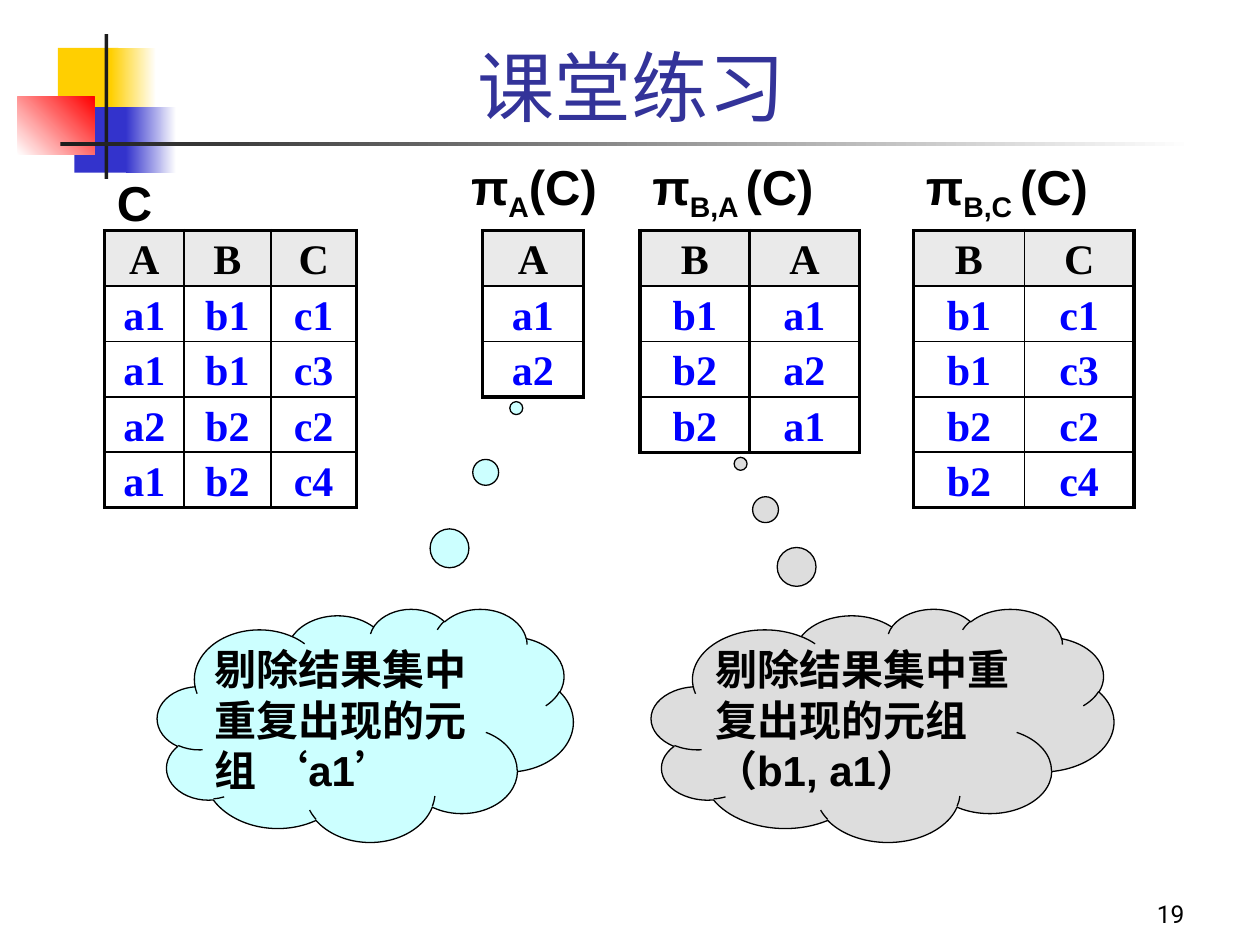
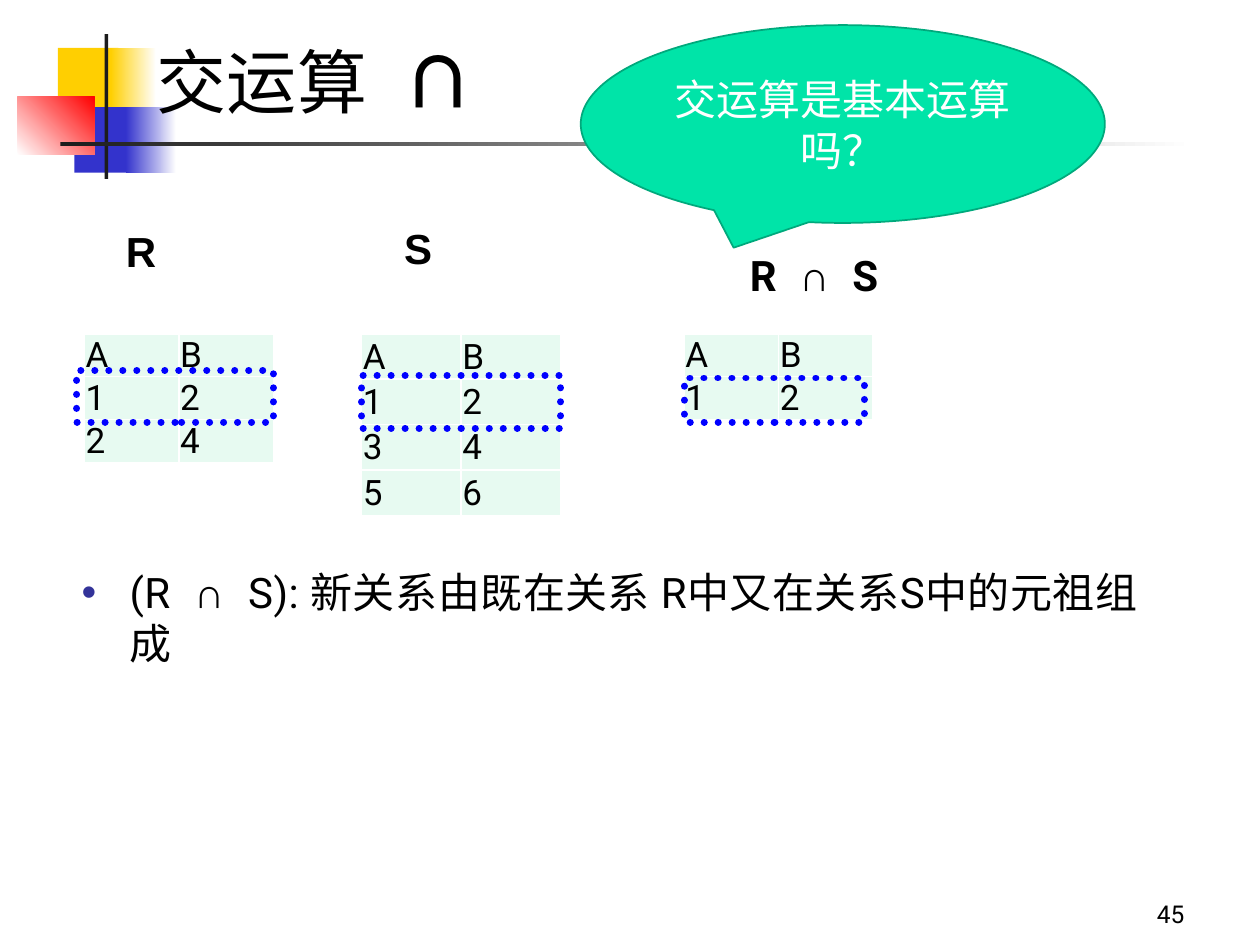
from typing import NamedTuple

import pptx
import pptx.dml.color
import pptx.enum.dml
import pptx.enum.shapes
import pptx.enum.text
import pptx.oxml
import pptx.oxml.ns
import pptx.util
from pptx.util import Inches

COLOURS = {
    "white": "FFFFFF", "black": "000000", "ink": "1C1C1C",
    "yellow": "FFCF01", "blue": "3333CC", "red": "FF0000",
    "title": "333399", "value": "0000FF", "header": "EAEAEA",
    "mint": "E7FAF1", "cyan": "CCFFFF", "grey": "DDDDDD",
    "green": "00E4A8", "dark_green": "00A97C",
}
CHINESE = "Noto Sans CJK SC"
SHAPES = pptx.enum.shapes.MSO_SHAPE
ANCHOR = pptx.enum.text.MSO_ANCHOR
ALIGN = pptx.enum.text.PP_ALIGN


class Frame(NamedTuple):
    left: float
    top: float
    width: float
    height: float

    def lengths(self) -> list:
        return [Inches(value) for value in self]


class Style(NamedTuple):
    size: float
    font: str
    colour: str = "black"
    bold: bool = False


class Span(NamedTuple):
    text: str
    style: Style
    spacing: float = 0
    baseline: int = 0


class Band(NamedTuple):
    frame: Frame
    start: str
    end: str = ""
    angle: float = 0


class Relation(NamedTuple):
    left: float
    top: float
    columns: list
    row_height: float
    rows: list


class Callout(NamedTuple):
    kind: int
    frame: Frame
    fill: str
    line: str
    line_width: float
    text: str
    style: Style
    tip: tuple = ()


BANDS = [
    Band(Frame(0.46, 0.38, 0.48, 0.52), "yellow"),
    Band(Frame(0.88, 0.38, 0.36, 0.52), "yellow", "white"),
    Band(Frame(0.59, 0.85, 0.46, 0.52), "blue"),
    Band(Frame(1, 0.85, 0.4, 0.52), "blue", "white"),
    Band(Frame(0.14, 0.77, 0.61, 0.46), "white", "red", 45),
    Band(Frame(0.83, 0.27, 0.03, 1.15), "ink"),
    Band(Frame(0.48, 1.13, 9, 0.03), "ink", "white"),
]
LABEL = Style(28, "Arial", bold=True)
NOTE = Style(24, "Arial", bold=True)
HEADER = Style(24, "Times New Roman", bold=True)
VALUE = HEADER._replace(colour="value")
CELL = Style(20, "Roboto")
BODY = Style(24, "Roboto")
BODY_SIGN = Style(24, "Courier New", bold=True)


def rgb(name: str) -> pptx.dml.color.RGBColor:
    return pptx.dml.color.RGBColor.from_string(COLOURS[name])


def element(tag: str, **attributes: str):
    node = pptx.oxml.parse_xml(f"<a:{tag} {pptx.oxml.ns.nsdecls('a')}/>")
    for key, value in attributes.items():
        node.set(key, value)
    return node


def write(paragraph, spans: list, align=ALIGN.LEFT) -> None:
    """Fill a paragraph with formatted runs."""
    paragraph.alignment = align
    for item in spans:
        span = paragraph.add_run()
        span.text = item.text
        span.font.size = pptx.util.Pt(item.style.size)
        span.font.bold = item.style.bold
        span.font.color.rgb = rgb(item.style.colour)
        span.font.name = item.style.font
        properties = span._r.get_or_add_rPr()
        properties.find(pptx.oxml.ns.qn("a:latin")).addnext(element("ea", typeface=CHINESE))
        if item.spacing:
            properties.set("spc", str(round(item.spacing * 100)))
        if item.baseline:
            properties.set("baseline", str(item.baseline * 1000))


def set_frame(text_frame, anchor=ANCHOR.TOP, inset=(0.1, 0.05)) -> None:
    text_frame.word_wrap = True
    text_frame.auto_size = pptx.enum.text.MSO_AUTO_SIZE.NONE
    text_frame.vertical_anchor = anchor
    text_frame.margin_left = text_frame.margin_right = Inches(inset[0])
    text_frame.margin_top = text_frame.margin_bottom = Inches(inset[1])


def add_text(page, frame: Frame, spans: list, align=ALIGN.LEFT,
             anchor=ANCHOR.TOP, inset=(0.1, 0.05)):
    box = page.shapes.add_textbox(*frame.lengths())
    set_frame(box.text_frame, anchor, inset)
    para = box.text_frame.paragraphs[0]
    write(para, spans, align)
    return para


def add_band(page, band: Band) -> None:
    shape = page.shapes.add_shape(SHAPES.RECTANGLE, *band.frame.lengths())
    shape.shadow.inherit = False
    shape.line.fill.background()
    if band.end:
        shape.fill.gradient()
        shape.fill.gradient_angle = band.angle
        for stop, name in zip(shape.fill.gradient_stops, (band.start, band.end)):
            stop.color.rgb = rgb(name)
    else:
        shape.fill.solid()
        shape.fill.fore_color.rgb = rgb(band.start)


def add_page(deck, frame: Frame, spans: list, align, anchor, number: str):
    """Add a page with the corner bands, the title and the page number."""
    page = deck.slides.add_slide(deck.slide_layouts[5])
    for band in BANDS:
        add_band(page, band)
    title = page.shapes.title
    title.left, title.top, title.width, title.height = frame.lengths()
    set_frame(title.text_frame, anchor)
    write(title.text_frame.paragraphs[0], spans, align)
    title.element.getparent().append(title.element)
    add_text(page, Frame(7.42, 6.92, 2.08, 0.5), [Span(number, Style(14, "Roboto"))],
             ALIGN.RIGHT, ANCHOR.BOTTOM)
    return page


def set_borders(cell, colour: str, widths: dict) -> None:
    properties = cell._tc.get_or_add_tcPr()
    for place, side in enumerate("LRTB"):
        line = element(f"ln{side}", w=str(pptx.util.Pt(widths[side])))
        fill = element("solidFill")
        fill.append(element("srgbClr", val=COLOURS[colour]))
        line.append(fill)
        properties.insert(place, line)


def add_relation(page, relation: Relation):
    """Add a table with sized columns and equal rows, ready for its cells."""
    count = len(relation.rows)
    frame = Frame(relation.left, relation.top, sum(relation.columns),
                  count * relation.row_height)
    table = page.shapes.add_table(count, len(relation.columns), *frame.lengths()).table
    table.first_row = table.horz_banding = False
    for column, width in zip(table.columns, relation.columns):
        column.width = Inches(width)
    for row in table.rows:
        row.height = Inches(relation.row_height)
    return table


def fill_cell(cell, text: str, style: Style, fill: str, inset: tuple, align) -> None:
    cell.margin_left = cell.margin_right = Inches(inset[0])
    cell.margin_top, cell.margin_bottom = Inches(inset[1]), 0
    cell.vertical_anchor = ANCHOR.MIDDLE
    write(cell.text_frame.paragraphs[0], [Span(text, style)], align)
    if fill:
        cell.fill.solid()
        cell.fill.fore_color.rgb = rgb(fill)
    else:
        cell.fill.background()


def add_ruled_table(page, relation: Relation, divider: float = 1) -> None:
    """Black grid with a heavy outer edge and a shaded header."""
    table = add_relation(page, relation)
    last_row, last_column = len(relation.rows) - 1, len(relation.columns) - 1
    for r, row in enumerate(relation.rows):
        for c, text in enumerate(row.split()):
            cell = table.cell(r, c)
            fill_cell(cell, text, VALUE if r else HEADER, "" if r else "header",
                      (0.1, 0), ALIGN.CENTER)
            cell.text_frame.paragraphs[0].line_spacing = 1.1
            set_borders(cell, "black", {
                "L": divider if c else 2.25,
                "R": divider if c < last_column else 2.25,
                "T": 1 if r else 2.25,
                "B": 1 if r < last_row else 2.25,
            })


def add_mint_table(page, relation: Relation) -> None:
    """Pale green cells parted by white lines."""
    table = add_relation(page, relation)
    for r, row in enumerate(relation.rows):
        for c, text in enumerate(row.split()):
            cell = table.cell(r, c)
            fill_cell(cell, text, CELL, "mint", (0.01, 0.01), ALIGN.LEFT)
            set_borders(cell, "white", dict.fromkeys("LRTB", 1))


def add_callout(page, callout: Callout, align, anchor, inset) -> None:
    shape = page.shapes.add_shape(callout.kind, *callout.frame.lengths())
    shape.shadow.inherit = False
    for place, value in enumerate(callout.tip):
        shape.adjustments[place] = value
    shape.fill.solid()
    shape.fill.fore_color.rgb = rgb(callout.fill)
    shape.line.color.rgb = rgb(callout.line)
    shape.line.width = pptx.util.Pt(callout.line_width)
    set_frame(shape.text_frame, anchor, inset)
    write(shape.text_frame.paragraphs[0], [Span(callout.text, callout.style)], align)


def add_dotted_frame(page, frame: Frame) -> None:
    shape = page.shapes.add_shape(SHAPES.RECTANGLE, *frame.lengths())
    shape.shadow.inherit = False
    shape.fill.background()
    shape.line.color.rgb = rgb("value")
    shape.line.width = pptx.util.Pt(4)
    shape.line.dash_style = pptx.enum.dml.MSO_LINE.ROUND_DOT
    shape.line._get_or_add_ln().set("cap", "rnd")


def build_projection(deck) -> None:
    page = add_page(deck, Frame(0.75, 0.25, 8.52, 0.86),
                    [Span("课堂练习", Style(44, CHINESE, "title"))],
                    ALIGN.CENTER, ANCHOR.MIDDLE, "19")
    # Relation C and its projections
    top, height = 1.83, 0.44
    add_ruled_table(page, Relation(0.83, top, [0.63, 0.69, 0.68], height,
                                   ["A B C", "a1 b1 c1", "a1 b1 c3", "a2 b2 c2", "a1 b2 c4"]))
    add_ruled_table(page, Relation(3.83, top, [0.8], height, ["A", "a1", "a2"]))
    add_ruled_table(page, Relation(5.08, top, [0.87, 0.87], height,
                                   ["B A", "b1 a1", "b2 a2", "b2 a1"]), 2.25)
    add_ruled_table(page, Relation(7.25, top, [0.88, 0.87], height,
                                   ["B C", "b1 c1", "b1 c3", "b2 c2", "b2 c4"]))
    # Table labels
    add_text(page, Frame(0.83, 1.37, 2, 0.47), [Span("C", LABEL)], inset=(0.1, 0))
    for left, width, attributes in [(3.64, 1.44, "A"), (5.08, 2, "B,A "), (7.25, 2, "B,C ")]:
        add_text(page, Frame(left, 1.24, width, 0.47),
                 [Span("π", LABEL), Span(attributes, LABEL, baseline=-25), Span("(C)", LABEL)],
                 inset=(0.1, 0))
    # Notes on removed duplicates
    for left, width, fill, tip, text in [
        (1.25, 3.3, "cyan", (0.363, -1.36), "剔除结果集中重复出现的元组 ‘a1’"),
        (5.17, 3.67, "grey", (-0.307, -1.121), "剔除结果集中重复出现的元组（b1, a1）"),
    ]:
        cloud = Callout(SHAPES.CLOUD_CALLOUT, Frame(left, 4.83, width, 1.85),
                        fill, "black", 0.75, text, NOTE, tip)
        add_callout(page, cloud, ALIGN.LEFT, ANCHOR.TOP, (0, 0))


def build_intersection(deck) -> None:
    heading = Style(40, "Roboto")
    page = add_page(deck, Frame(1.14, 0.1, 10, 0.92),
                    [Span("交运算", heading, 0.5), Span(" ", heading, 11),
                     Span("∩", Style(40, "Courier New", bold=True))],
                    ALIGN.LEFT, ANCHOR.BOTTOM, "45")
    # Relations R, S and their intersection
    top = 2.65
    add_mint_table(page, Relation(0.67, top, [0.75] * 2, 0.34, ["A B", "1 2", "2 4"]))
    add_mint_table(page, Relation(2.87, top, [0.79] * 2, 0.36, ["A B", "1 2", "3 4", "5 6"]))
    add_mint_table(page, Relation(5.43, top, [0.75] * 2, 0.34, ["A B", "1 2"]))
    add_text(page, Frame(0.9, 1.74, 1.02, 0.4), [Span("R", NOTE)])
    add_text(page, Frame(3.11, 1.72, 1.02, 0.4), [Span("S", NOTE)])
    strong = BODY._replace(bold=True)
    add_text(page, Frame(5.5, 1.93, 1.92, 0.5),
             [Span("R", strong), Span(" ∩ ", BODY_SIGN), Span("S", strong)], ALIGN.CENTER)
    # Shared tuple
    for frame in [Frame(0.61, 2.94, 1.56, 0.41), Frame(2.87, 2.98, 1.58, 0.42),
                  Frame(5.43, 3, 1.43, 0.35)]:
        add_dotted_frame(page, frame)
    # Definition
    para = add_text(page, Frame(0.55, 4.45, 8.67, 2.94),
                    [Span("(R", BODY, 0.3), Span(" ∩ ", BODY_SIGN, 0.3),
                     Span("S): 新关系由既在关系 R中又在关系S中的元祖组成", BODY, 0.3)])
    para.space_after = pptx.util.Pt(6)
    properties = para._p.get_or_add_pPr()
    properties.set("marL", str(Inches(0.38)))
    properties.set("indent", str(Inches(-0.38)))
    bullet_colour = element("buClr")
    bullet_colour.append(element("srgbClr", val=COLOURS["title"]))
    properties.extend([bullet_colour, element("buFont", typeface="Arial"),
                       element("buChar", char="•")])
    # Question
    question = Callout(SHAPES.OVAL_CALLOUT, Frame(4.61, 0.2, 4.16, 1.57), "green", "dark_green",
                       1, "交运算是基本运算吗？", Style(24, CHINESE, "white"))
    add_callout(page, question, ALIGN.CENTER, ANCHOR.MIDDLE, (0.1, 0.05))


def main() -> None:
    deck = pptx.Presentation()
    deck.slide_width, deck.slide_height = Inches(10), Inches(7.5)
    build_projection(deck)
    build_intersection(deck)
    deck.save("out.pptx")


if __name__ == "__main__":
    main()
